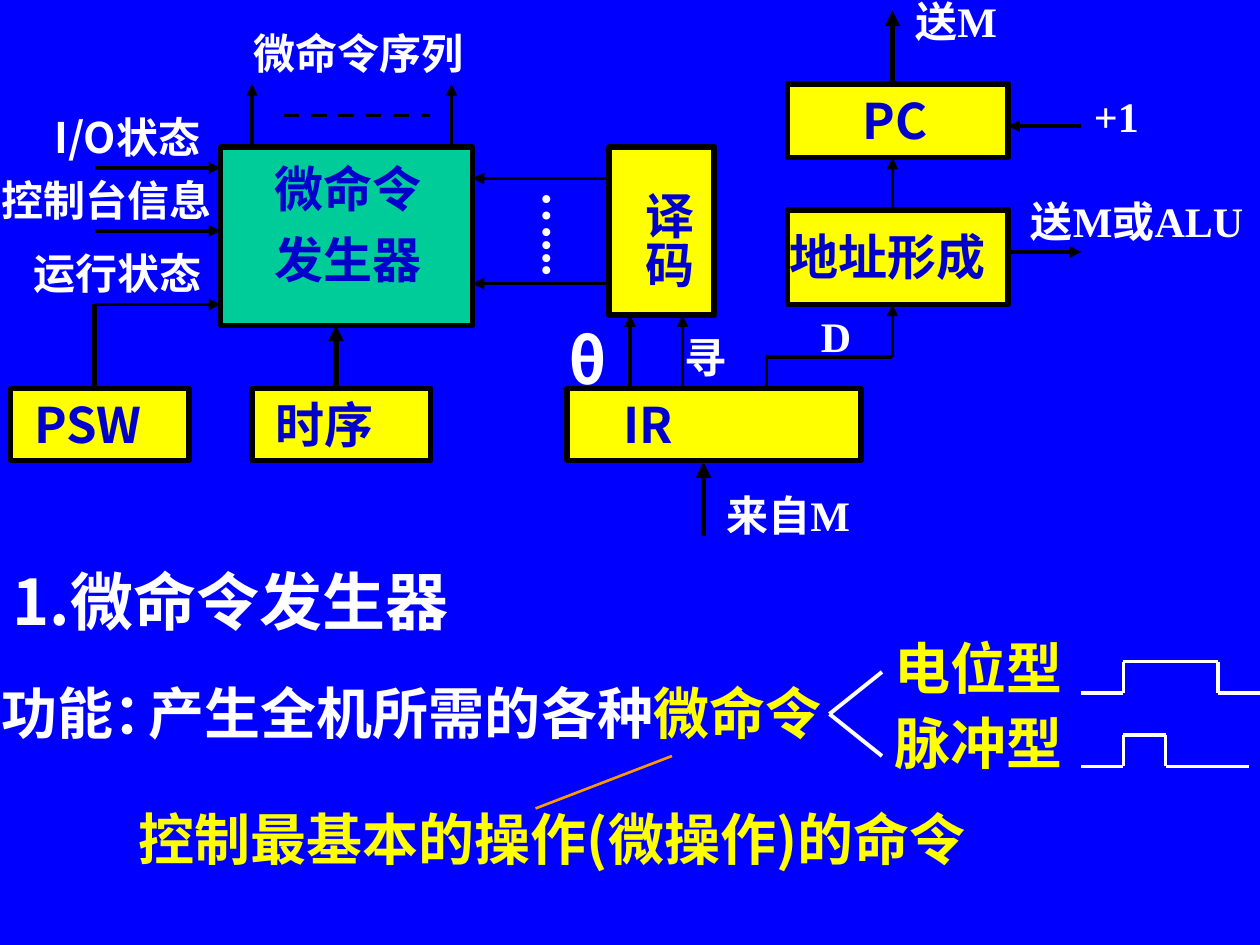
from itertools import pairwise
from lxml import etree
from pptx import Presentation
from pptx.dml.color import RGBColor
from pptx.enum.dml import MSO_LINE
from pptx.enum.shapes import MSO_CONNECTOR, MSO_SHAPE
from pptx.enum.text import MSO_ANCHOR, MSO_AUTO_SIZE, PP_ALIGN
from pptx.oxml.ns import qn
from pptx.util import Cm, Pt

RECT = MSO_SHAPE.RECTANGLE
STRAIGHT = MSO_CONNECTOR.STRAIGHT
DASH = MSO_LINE.DASH
TOP = MSO_ANCHOR.TOP
LEFT = PP_ALIGN.LEFT
FIXED = MSO_AUTO_SIZE.NONE
BLUE = RGBColor(0x00, 0x00, 0xFF)
NAVY = RGBColor(0x00, 0x00, 0xCC)
BLACK = RGBColor(0x00, 0x00, 0x00)
WHITE = RGBColor(0xFF, 0xFF, 0xFF)
YELLOW = RGBColor(0xFF, 0xFF, 0x00)
GREEN = RGBColor(0x00, 0xCC, 0x99)
ORANGE = RGBColor(0xFF, 0x99, 0x00)
SANS = "Noto Sans CJK SC"
SERIF = "Times New Roman"

GRID = 2.54 / 12
PAD = 1.2

# left, top, width, height in grid steps, fill, text, text inset
BOXES = [
    (58, 14, 10, 16, YELLOW, "", PAD),
    (75, 8, 21, 7, YELLOW, "", PAD),
    (75, 20, 21, 9, YELLOW, "", PAD),
    (21, 14, 24, 17, GREEN, "", PAD),
    (1, 37, 17, 6.84, YELLOW, "PSW", 2.25),
    (24, 37, 17, 6.84, YELLOW, "时序", 2.25),
    (54, 37, 28, 6.84, YELLOW, "IR", 5.4),
]

ARROWS = [
    (2.25, [(24, 14), (24, 8)]),
    (2.25, [(43, 14), (43, 8)]),
    (2.25, [(9, 16), (21, 16)]),
    (2.25, [(9, 22), (21, 22)]),
    (2.25, [(9, 29), (21, 29)]),
    (2.25, [(58, 17), (45, 17)]),
    (2.25, [(58, 27), (45, 27)]),
    (2.25, [(60, 37), (60, 30)]),
    (2.25, [(65, 37), (65, 30)]),
    (2.25, [(73, 37), (73, 34), (85, 34), (85, 29)]),
    (2.25, [(85, 20), (85, 15)]),
    (2.25, [(103, 12), (96, 12)]),
    (2.25, [(96, 24), (103, 24)]),
    (3, [(32, 37), (32, 31)]),
    (3, [(67, 51), (67, 44)]),
    (3, [(85, 8), (85, 1)]),
]

PATHS = [
    (3, BLACK, [(9, 29), (9, 37)]),
    (1.5, ORANGE, [(51, 77), (64, 72)]),
    (2.25, WHITE, [(84, 64), (79, 68), (84, 72)]),
    (2.25, WHITE, [(103, 66), (107, 66), (107, 63), (116, 63), (116, 66), (120, 66)]),
    (2.25, WHITE, [(103, 73), (107, 73), (107, 70), (111, 70), (111, 73), (119, 73)]),
]
DASHES = [(27, 11), (41, 11)]

LABELS = [
    (23, 2, 23, "微命令序列", SERIF),
    (4, 10, 19, "I/O状态", SANS),
    (-1, 16, 23, "控制台信息", SERIF),
    (2, 23, 23, "运行状态", SERIF),
    (77, 29, 13, "D", SERIF),
    (64, 31, 13, "寻", SERIF),
    (68, 46, 23, "来自M", SERIF),
    (97, 18, 23, "送M或ALU", SERIF),
    (103, 8, 13, "+1", SERIF),
    (86, -1, 13, "送M", SERIF),
]

# left, top, width, height, size, font, line spacing, paragraphs of runs
TEXTS = [
    (74, 21, 27, 6.84, 28, SERIF, 1, [[("地址形成", NAVY)]]),
    (81, 8, 17, 6.84, 28, SANS, 1, [[("PC", NAVY)]]),
    (25, 16, 17, 12, 28, SERIF, 0.7, [[("微命令", NAVY)], [("发生器", NAVY)]]),
    (53, 30, 15, 8.4, 36, SANS, 1, [[("θ", WHITE)]]),
    (-1, 64, 20, 7.68, 32, SERIF, 1, [[("功能：", WHITE)]]),
    (13, 64, 83, 7.68, 32, SERIF, 1,
     [[("产生全机所需的各种", WHITE), ("微命令", YELLOW)]]),
    (12, 76, 87, 14, 32, SANS, 1, [[("控制最基本的操作(微操作)的命令", YELLOW)]]),
    (84, 62, 20, 12.24, 32, SERIF, 0.6, [[("电位型", YELLOW)], [("脉冲型", YELLOW)]]),
]
UPRIGHT = [(59, "译码", NAVY), (49, "…...", WHITE)]
TITLE = "1.微命令发生器"


def grid(*steps):
    return [Cm(step * GRID) for step in steps]


def write(shape, paras, size, font, space=1, pad=PAD, upright=False):
    frame = shape.text_frame
    frame.word_wrap = True
    frame.auto_size = FIXED
    frame.vertical_anchor = TOP
    sides = (0.6, PAD, 0.6, PAD) if upright else (pad, 0.6, PAD, 0.6)
    (frame.margin_left, frame.margin_top,
     frame.margin_right, frame.margin_bottom) = grid(*sides)
    if upright:
        frame._txBody.bodyPr.set("vert", "eaVert")
    for i, runs in enumerate(paras):
        para = frame.add_paragraph() if i else frame.paragraphs[0]
        para.alignment = LEFT
        para.line_spacing = space
        para.space_before = Pt(size * 0.625 if i else 0)
        for text, color in runs:
            run = para.add_run()
            run.text = text
            run.font.size = Pt(size)
            run.font.bold = True
            run.font.name = font
            run.font.color.rgb = color
            east = etree.SubElement(run._r.get_or_add_rPr(), qn("a:ea"))
            east.set("typeface", SANS)


def draw(slide, points, width, color, arrow=False, dash=None):
    for start, end in pairwise(points):
        line = slide.shapes.add_connector(STRAIGHT, *grid(*start, *end))
        line.line.width = Pt(width)
        line.line.color.rgb = color
        if dash:
            line.line.dash_style = dash
        if arrow and end == points[-1]:
            tail = etree.SubElement(line.line._get_or_add_ln(), qn("a:tailEnd"))
            tail.set("type", "triangle")
        etree.SubElement(line._element.spPr, qn("a:effectLst"))


def main():
    deck = Presentation()
    deck.slide_width, deck.slide_height = grid(120, 90)
    slide = deck.slides.add_slide(deck.slide_layouts[5])
    slide.background.fill.solid()
    slide.background.fill.fore_color.rgb = BLUE
    shapes = slide.shapes

    title = shapes.title
    title.left, title.top, title.width, title.height = grid(0, 53, 49, 8.4)
    write(title, [[(TITLE, WHITE)]], 36, SANS)

    for *place, fill, text, pad in BOXES:
        box = shapes.add_shape(RECT, *grid(*place))
        box.shadow.inherit = False
        box.fill.solid()
        box.fill.fore_color.rgb = fill
        box.line.color.rgb = BLACK
        box.line.width = Pt(3)
        if text:
            write(box, [[(text, NAVY)]], 28, SANS, pad=pad)

    for width, points in ARROWS:
        draw(slide, points, width, BLACK, arrow=True)
    for width, color, points in PATHS:
        draw(slide, points, width, color)
    draw(slide, DASHES, 2.25, BLACK, dash=DASH)

    for left, top, width, text, font in LABELS:
        label = shapes.add_textbox(*grid(left, top, width, 6))
        write(label, [[(text, WHITE)]], 24, font)
    for *place, size, font, space, paras in TEXTS:
        write(shapes.add_textbox(*grid(*place)), paras, size, font, space)
    for left, text, color in UPRIGHT:
        label = shapes.add_textbox(*grid(left, 17, 8, 13))
        write(label, [[(text, color)]], 28, SERIF, upright=True)

    deck.save("out.pptx")


if __name__ == "__main__":
    main()
